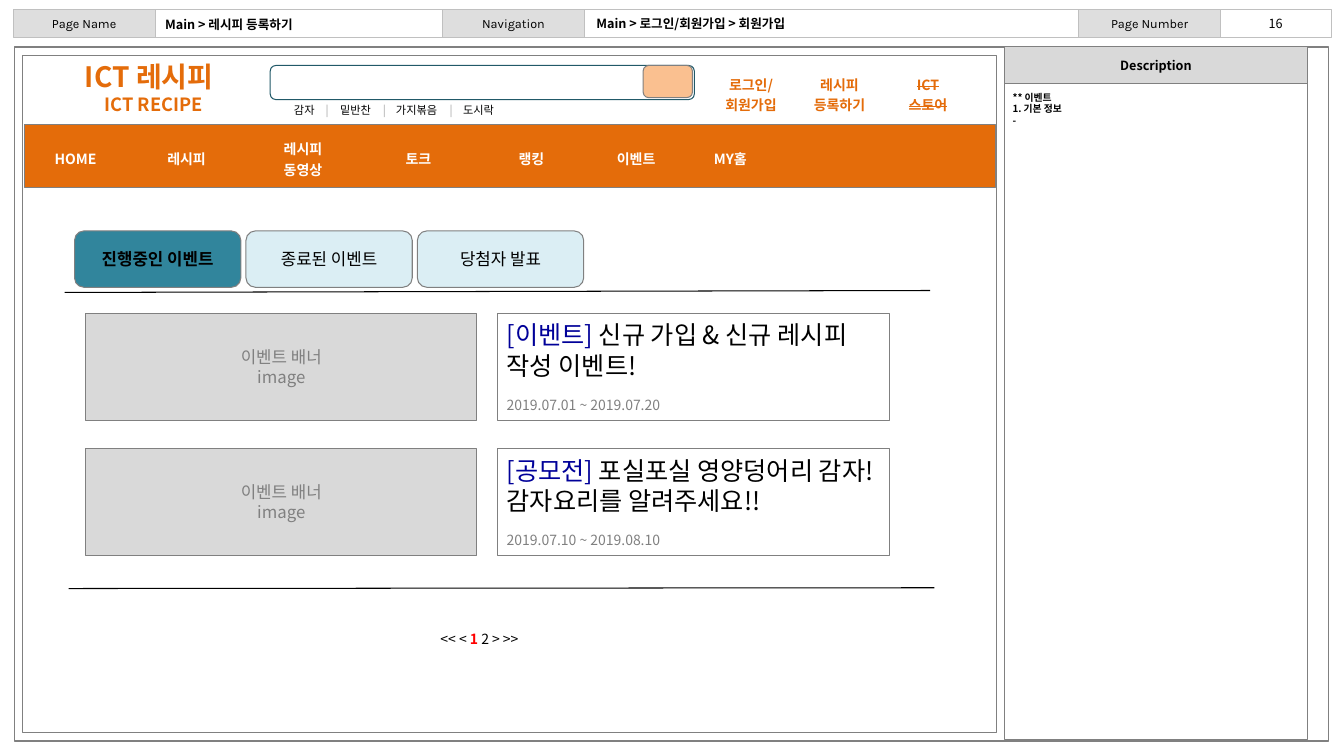
from lxml.etree import SubElement
from pptx import Presentation
from pptx.dml.color import RGBColor
from pptx.enum.shapes import MSO_CONNECTOR, MSO_SHAPE
from pptx.enum.text import MSO_ANCHOR, MSO_AUTO_SIZE, PP_ALIGN
from pptx.oxml.ns import qn
from pptx.util import Cm, Pt

BLACK = RGBColor(0x00, 0x00, 0x00)
WHITE = RGBColor(0xFF, 0xFF, 0xFF)
GRAY = RGBColor(0x80, 0x80, 0x80)
SILVER = RGBColor(0xC0, 0xC0, 0xC0)
LABEL = RGBColor(0xDE, 0xDE, 0xDE)
PANEL = RGBColor(0xD9, 0xD9, 0xD9)
DIVIDER = RGBColor(0xA6, 0xA6, 0xA6)
ORANGE = RGBColor(0xE4, 0x6C, 0x0A)
PEACH = RGBColor(0xFA, 0xC0, 0x90)
DARK_TEAL = RGBColor(0x21, 0x59, 0x68)
TEAL = RGBColor(0x31, 0x85, 0x9C)
PALE_TEAL = RGBColor(0xDB, 0xEE, 0xF4)
NAVY = RGBColor(0x00, 0x00, 0x99)
RED = RGBColor(0xFF, 0x00, 0x00)
KOREAN = "Noto Sans CJK KR"
LATIN = "Karla"
NO_GRID = "{2D5ABB26-0587-4C30-8999-92F81FD0307C}"
CENTER = PP_ALIGN.CENTER
MIDDLE = MSO_ANCHOR.MIDDLE


def style(p, size, color=BLACK, bold=False, align=PP_ALIGN.LEFT, font=KOREAN):
    p.alignment = align
    f = p.font
    f.size, f.bold, f.name = Pt(size), bold, font
    f.color.rgb = color
    SubElement(p._p.pPr.defRPr, qn("a:ea"), typeface=font)


def write(tf, lines, size, **look):
    for i, line in enumerate(lines):
        p = tf.paragraphs[0] if i == 0 else tf.add_paragraph()
        p.text = line
        style(p, size, **look)


def write_runs(p, runs, size):
    for text, color, bold in runs:
        r = p.add_run()
        r.text = text
        r.font.color.rgb = color
        r.font.bold = bold
    style(p, size)


def add_box(s, x, y, w, h, fill=None, line=GRAY, width=0.75, kind=MSO_SHAPE.RECTANGLE):
    sp = s.shapes.add_shape(kind, Cm(x), Cm(y), Cm(w), Cm(h))
    sp.shadow.inherit = False
    if fill is None:
        sp.fill.background()
    else:
        sp.fill.solid()
        sp.fill.fore_color.rgb = fill
    sp.line.color.rgb = line
    sp.line.width = Pt(width)
    tf = sp.text_frame
    tf.margin_left = tf.margin_right = Cm(0.1)
    tf.margin_top = tf.margin_bottom = 0
    tf.vertical_anchor = MIDDLE
    return tf


def add_text(s, x, y, w, h, anchor=MSO_ANCHOR.TOP):
    tf = s.shapes.add_textbox(Cm(x), Cm(y), Cm(w), Cm(h)).text_frame
    tf.word_wrap = True
    tf.vertical_anchor = anchor
    return tf


def add_rule(s, x1, y1, x2, y2):
    c = s.shapes.add_connector(MSO_CONNECTOR.STRAIGHT, Cm(x1), Cm(y1), Cm(x2), Cm(y2))
    c.line.color.rgb = BLACK
    c.line.width = Pt(0.75)
    SubElement(c._element.spPr, qn("a:effectLst"))


def add_menu(s, x, y, widths, h, cells, color, anchor):
    gf = s.shapes.add_table(1, len(cells), Cm(x), Cm(y), Cm(sum(widths)), Cm(h))
    table = gf.table
    table.first_row = table.horz_banding = False
    table._tbl.tblPr.find(qn("a:tableStyleId")).text = NO_GRID
    for i, (w, lines) in enumerate(zip(widths, cells)):
        table.columns[i].width = Cm(w)
        cell = table.cell(0, i)
        cell.fill.background()
        cell.vertical_anchor = anchor
        write(cell.text_frame, lines, 10, color=color, bold=True, align=CENTER)
    return table


def page_header(s, x, y, h):
    add_box(s, x, y, 33.15, h, line=SILVER)
    for dx, label in ((-0.08, "Page Name"), (10.74, "Navigation"), (26.77, "Page Number")):
        tf = add_box(s, x + dx, y, 3.58, h, LABEL, SILVER)
        write(tf, [label], 9, align=CENTER, font=LATIN)
    write(add_text(s, x + 30.37, y + 0.05, 2.74, h), ["16"], 9, align=CENTER)
    title = s.shapes.title
    title.left, title.top, title.width, title.height = Cm(x + 3.5), Cm(y + 0.02), Cm(7.24), Cm(h)
    tf = title.text_frame
    tf.auto_size = MSO_AUTO_SIZE.NONE
    tf.vertical_anchor = MIDDLE
    write(tf, ["Main > 레시피 등록하기"], 9, bold=True)
    tf = add_text(s, x + 14.37, y, 7.24, h, MIDDLE)
    write(tf, ["Main > 로그인/회원가입 > 회원가입"], 9, bold=True)


def description(s, x, y, w, h):
    add_box(s, x, y, w, h)
    write(add_box(s, x, y - 0.02, w, 0.94, PANEL), ["Description"], 9, bold=True, align=CENTER)
    tf = add_text(s, x - 0.05, y + 0.99, w, 9.83)
    write(tf, ["** 이벤트", "1. 기본 정보", "-"], 7, bold=True)
    for p in tf.paragraphs:
        p._p.pPr.set("marL", str(Cm(0.64)))
        p._p.pPr.set("indent", str(-Cm(0.64)))


def search(s, x, y):
    rounded = MSO_SHAPE.ROUNDED_RECTANGLE
    add_box(s, x, y, 10.69, 0.86, WHITE, DARK_TEAL, kind=rounded)
    add_box(s, x + 9.4, y, 1.24, 0.81, PEACH, kind=rounded)
    p = add_text(s, x + 0.35, y + 0.84, 9.4, 0.61).paragraphs[0]
    tabs = SubElement(p._p.get_or_add_pPr(), qn("a:tabLst"))
    for pos in (0.8, 1.16, 2.24, 2.57, 3.92, 4.26):
        SubElement(tabs, qn("a:tab"), pos=str(Cm(pos)), algn="l")
    runs = [("감자", BLACK, False)]
    for word in ("밑반찬", "가지볶음", "도시락"):
        runs += [("\t|\t", DIVIDER, False), (word, BLACK, False)]
    write_runs(p, runs, 8)


def site_header(s, x, y):
    add_box(s, x + 0.03, y + 1.75, 24.49, 1.57, ORANGE)
    tf = add_text(s, x + 0.74, y + 0.02, 4.88, 1.55, MIDDLE)
    tf.margin_left = tf.margin_right = Cm(0.1)
    tf.margin_top = tf.margin_bottom = 0
    write(tf, ["ICT 레시피", "ICT RECIPE"], 20, color=ORANGE, bold=True, align=CENTER)
    subtitle = tf.paragraphs[1]
    subtitle.font.size = Pt(13)
    subtitle._p.pPr.set("marL", str(Cm(0.23)))
    subtitle._p.pPr.set("indent", "0")
    add_menu(s, x + 0.03, y + 1.83, (2.59, 3, 2.87, 2.95, 2.74, 2.54, 2.21), 1.55,
             (["HOME"], ["레시피"], ["레시피", "동영상"], ["토크"], ["랭킹"], ["이벤트"], ["MY홈"]),
             WHITE, MIDDLE)
    search(s, x + 6.23, y + 0.25)
    member = add_menu(s, x + 17.23, y + 0.35, [2.23] * 3, 1.09,
                      (["로그인/", "회원가입"], ["레시피", "등록하기"], ["ICT", "스토어"]),
                      ORANGE, MSO_ANCHOR.TOP)
    for p in member.cell(0, 2).text_frame.paragraphs:
        p.runs[0].font._element.set("strike", "sngStrike")


def event_tabs(s, x, y):
    for i, name in enumerate(("진행중인 이벤트", "종료된 이벤트", "당첨자 발표")):
        active = i == 0
        tf = add_box(s, x + i * 4.32, y, 4.19, 1.42, TEAL if active else PALE_TEAL,
                     kind=MSO_SHAPE.ROUNDED_RECTANGLE)
        write(tf, [name], 12, bold=active, align=CENTER)


def event_card(s, x, y, tag, name, dates):
    w, h = 9.86, 2.69
    write(add_box(s, x, y, w, h, PANEL), ["이벤트 배너", "image"], 12, color=GRAY, align=CENTER)
    x += 10.39
    add_box(s, x, y, w, h)
    p = add_text(s, x - 0.03, y + 0.03, 9.83, 1.8).paragraphs[0]
    write_runs(p, [(f"[{tag}] ", NAVY, False), (name, BLACK, False)], 18)
    write(add_text(s, x - 0.03, y + 1.96, w, 0.69), [dates], 10, color=GRAY)


def event_page(s, x, y, w, h):
    add_box(s, x, y, w, h)
    site_header(s, x, y)
    event_tabs(s, x + 1.3, y + 4.42)
    add_rule(s, x + 1.05, y + 5.97, x + 22.86, y + 5.92)
    events = (("이벤트", "신규 가입 & 신규 레시피 작성 이벤트!", "2019.07.01 ~ 2019.07.20"),
              ("공모전", "포실포실 영양덩어리 감자! 감자요리를 알려주세요!!", "2019.07.10 ~ 2019.08.10"))
    for i, event in enumerate(events):
        event_card(s, x + 1.58, y + 6.5 + i * 3.41, *event)
    add_rule(s, x + 1.15, y + 13.43, x + 22.97, y + 13.41)
    p = add_text(s, x + 10.27, y + 14.37, 3.02, 0.69).paragraphs[0]
    write_runs(p, [("<< < ", BLACK, False), ("1 ", RED, True), ("2 > >>", BLACK, False)], 10)


def main():
    prs = Presentation()
    prs.slide_width, prs.slide_height = Cm(33.87), Cm(19.05)
    s = prs.slides.add_slide(prs.slide_layouts[5])
    add_box(s, 0.36, 1.19, 33.12, 17.48, width=1)
    page_header(s, 0.41, 0.23, 0.71)
    event_page(s, 0.58, 1.4, 24.54, 17.07)
    description(s, 25.32, 1.19, 7.62, 17.45)
    prs.save("out.pptx")


if __name__ == "__main__":
    main()
